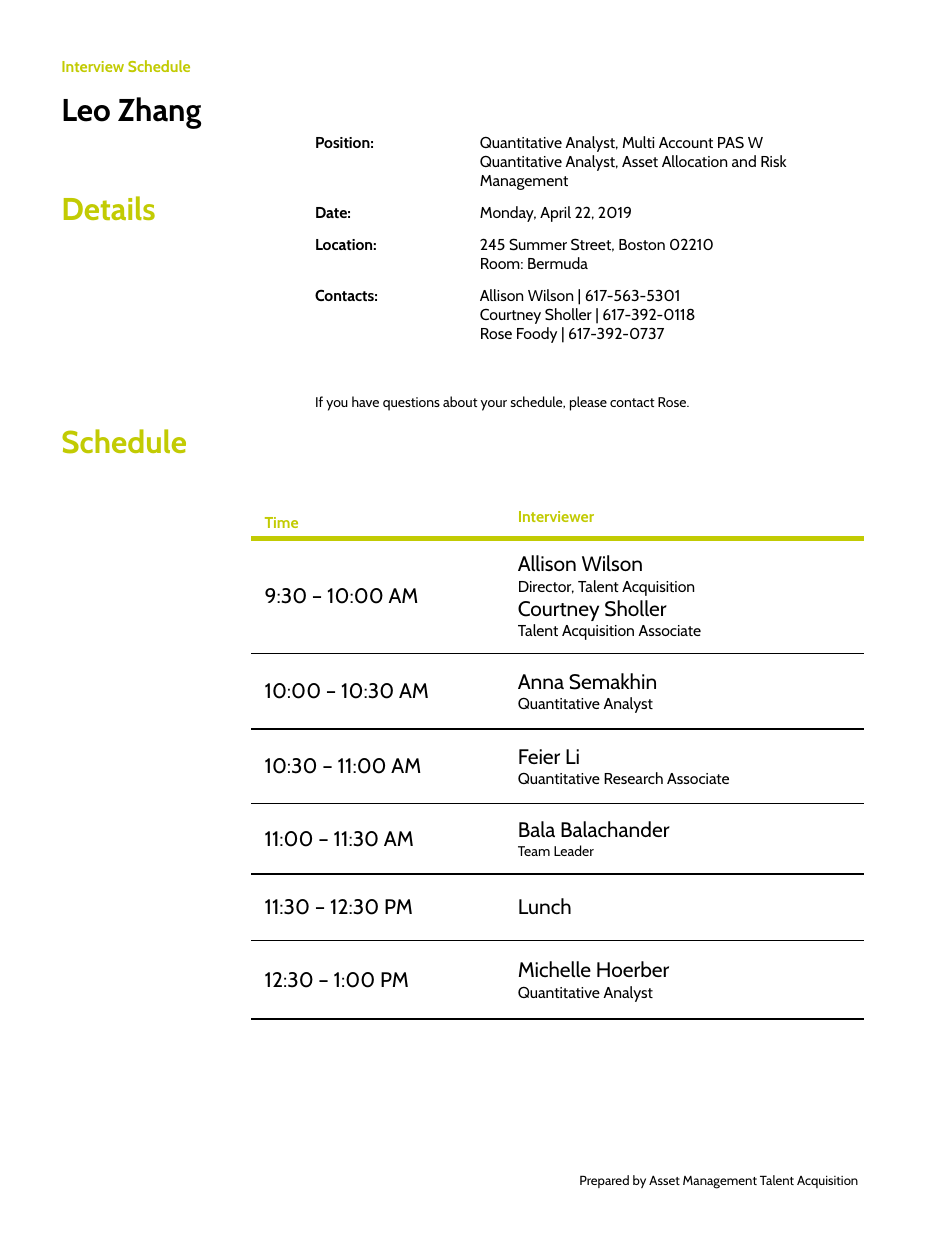
from lxml import etree
from pptx import Presentation
from pptx.dml.color import RGBColor
from pptx.enum.text import MSO_ANCHOR
from pptx.oxml.ns import qn
from pptx.util import Pt

TOP, MIDDLE = MSO_ANCHOR.TOP, MSO_ANCHOR.MIDDLE
FONT = "Cabin"
LIME, BLACK, WHITE = "C2CB03", "000000", "FFFFFF"

# Each line of text: (words, size, colour, bold)
# Text boxes: (left, top, width, height, line pitch, gap, lines)
BOXES = [
    (28, 24.5, 487.5, 108.5, 15, 15, [
        ("Interview Schedule", 9, LIME, True),
        ("Leo Zhang", 18, BLACK, True)]),
    (28, 111, 168, 30, 15, 0, [("Details", 18, LIME, True)]),
    (28, 244, 168, 30, 15, 0, [("Schedule", 18, LIME, True)]),
    (173, 219, 280, 27, 12, 0, [
        ("If you have questions about your schedule, please contact Rose.",
         8, BLACK, False)]),
    (324, 666.5, 229, 24, 9, 0, [
        ("Prepared by Asset Management Talent Acquisition",
         7.5, BLACK, False)]),
]

# Details: (label, values)
DETAILS = [
    ("Position:", ["Quantitative Analyst, Multi Account PAS W",
                   "Quantitative Analyst, Asset Allocation and Risk Management"]),
    ("Date:", ["Monday, April 22, 2019"]),
    ("Location:", ["245 Summer Street, Boston 02210", "Room: Bermuda"]),
    ("Contacts:", ["Allison Wilson | 617-563-5301",
                   "Courtney Sholler | 617-392-0118",
                   "Rose Foody | 617-392-0737"]),
]
DETAIL_ROWS = [40, 18.2, 29.2, 40]

# Schedule: (row height, time, [(words, size)])
SLOTS = [
    (65.5, "9:30 – 10:00 AM", [
        ("Allison Wilson", 12), ("Director, Talent Acquisition", 9),
        ("Courtney Sholler", 12), ("Talent Acquisition Associate", 9)]),
    (43.3, "10:00 – 10:30 AM", [
        ("Anna Semakhin", 12), ("Quantitative Analyst", 9)]),
    (42.5, "10:30 – 11:00 AM", [
        ("Feier Li", 12), ("Quantitative Research Associate", 9)]),
    (40.3, "11:00 – 11:30 AM", [
        ("Bala Balachander", 12), ("Team Leader", 8)]),
    (38, "11:30 – 12:30 PM", [("Lunch", 12)]),
    (45, "12:30 – 1:00 PM", [
        ("Michelle Hoerber", 12), ("Quantitative Analyst", 9)]),
]
HEAD = 21.2


def color(code):
    return RGBColor.from_string(code)


def write(frame, lines, pitch=None, gap=0):
    frame.word_wrap = True
    for i, (words, size, code, bold) in enumerate(lines):
        para = frame.paragraphs[0] if i == 0 else frame.add_paragraph()
        if pitch:
            para.line_spacing = Pt(pitch)
        if i:
            para.space_before = Pt(gap)
        run = para.add_run()
        run.text = words
        font = run.font
        font.name, font.size, font.bold = FONT, Pt(size), bold
        font.color.rgb = color(code)


def border(cell, sides):
    """Draw cell borders; sides maps L, R, T, B to (colour, width)."""
    props = cell._tc.get_or_add_tcPr()
    for i, side in enumerate("LRTB"):
        code, width = sides.get(side, (WHITE, 1))
        line = etree.Element(qn("a:ln" + side), w=str(Pt(width)))
        fill = etree.SubElement(line, qn("a:solidFill"))
        etree.SubElement(fill, qn("a:srgbClr"), val=code)
        props.insert(i, line)


def grid(slide, left, top, cols, rows):
    frame = slide.shapes.add_table(len(rows), len(cols), Pt(left), Pt(top),
                                   Pt(sum(cols)), Pt(sum(rows)))
    table = frame.table
    table.first_row = table.horz_banding = False
    for col, width in zip(table.columns, cols):
        col.width = Pt(width)
    for row, height in zip(table.rows, rows):
        row.height = Pt(height)
    return table


def dress(cell, lines, sides, anchor=TOP, pitch=None):
    cell.fill.solid()
    cell.fill.fore_color.rgb = color(WHITE)
    cell.vertical_anchor = anchor
    border(cell, sides)
    if lines:
        write(cell.text_frame, lines, pitch)
    else:
        # A small end mark keeps an empty cell from stretching its row
        para = cell.text_frame.paragraphs[0]
        etree.SubElement(para._p, qn("a:endParaRPr"), sz="900")


def main():
    deck = Presentation()
    deck.slide_width, deck.slide_height = Pt(540), Pt(720)
    slide = deck.slides.add_slide(deck.slide_layouts[6])

    # Headings and notes
    for left, top, width, height, pitch, gap, lines in BOXES:
        box = slide.shapes.add_textbox(Pt(left), Pt(top), Pt(width), Pt(height))
        write(box.text_frame, lines, pitch, gap)

    # Schedule table
    rows = [HEAD] + [slot[0] for slot in SLOTS]
    table = grid(slide, 144, 286.6, [144.7, 204.5], rows)
    lime, black = (LIME, 3), (BLACK, 1)
    for c, (words, pitch) in enumerate([("Time", 14), ("Interviewer", None)]):
        dress(table.cell(0, c), [(words, 9, LIME, True)], {"B": lime},
              pitch=pitch)
    for r, (_, time, people) in enumerate(SLOTS, 1):
        sides = {"T": lime if r == 1 else black, "B": black}
        for c, lines in enumerate([[(time, 12)], people]):
            dress(table.cell(r, c),
                  [(words, size, BLACK, False) for words, size in lines],
                  sides, MIDDLE)

    # Details table
    table = grid(slide, 172.8, 72.7, [77, 16.8, 192.2], DETAIL_ROWS)
    for r, (label, values) in enumerate(DETAILS):
        dress(table.cell(r, 0), [(label, 9, BLACK, True)], {})
        dress(table.cell(r, 1), [], {})
        dress(table.cell(r, 2), [(v, 9, BLACK, False) for v in values], {})

    deck.save("out.pptx")


if __name__ == "__main__":
    main()
